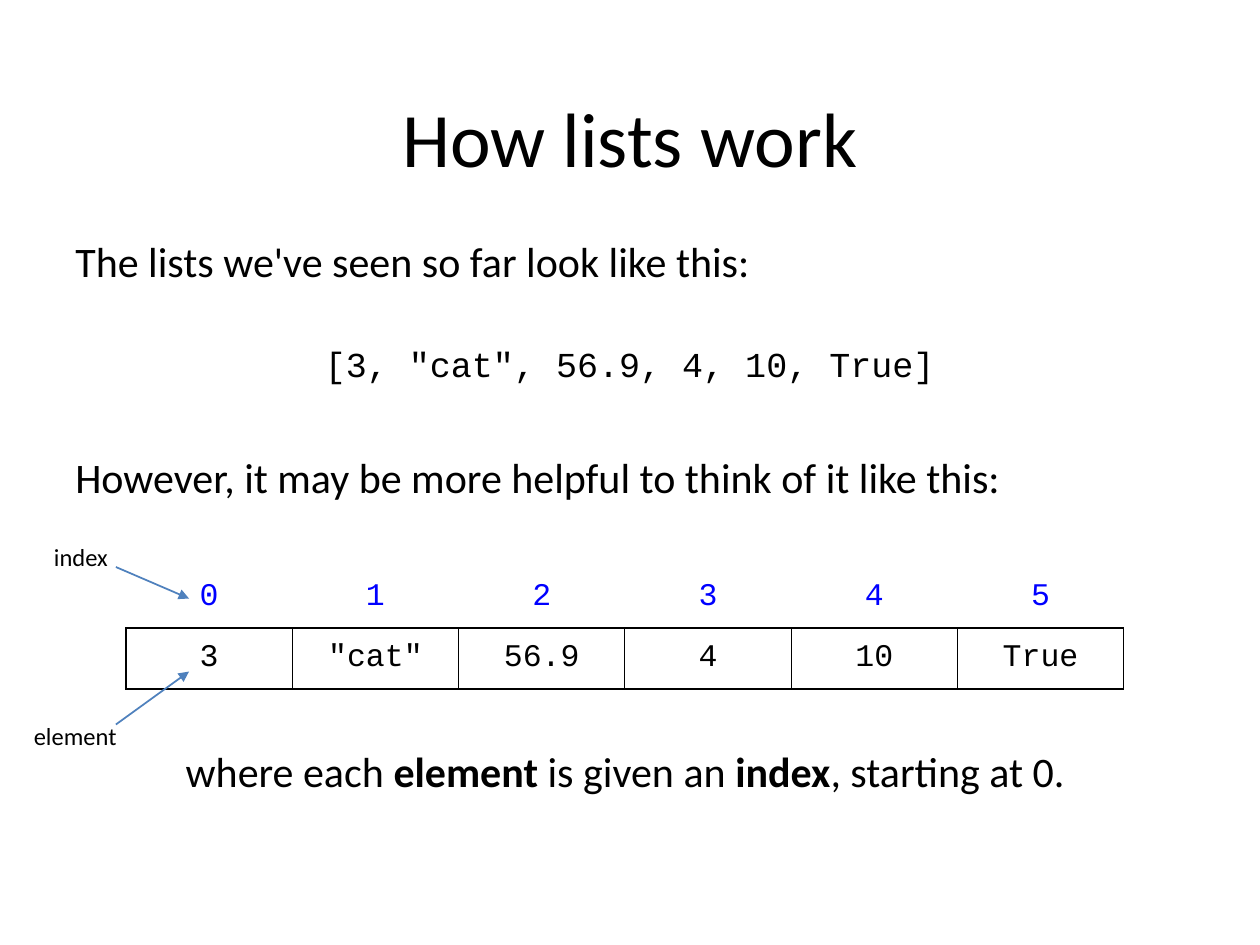
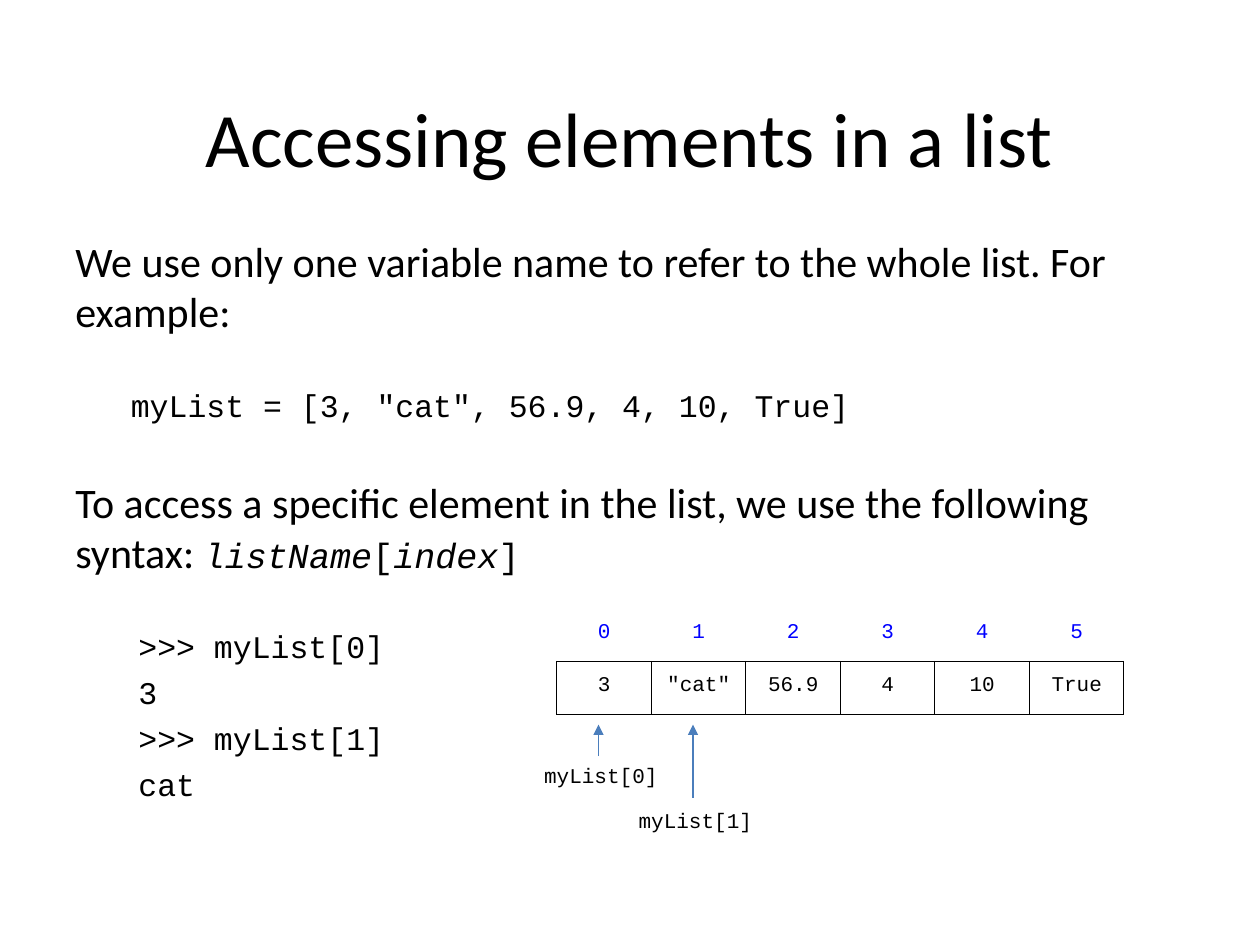
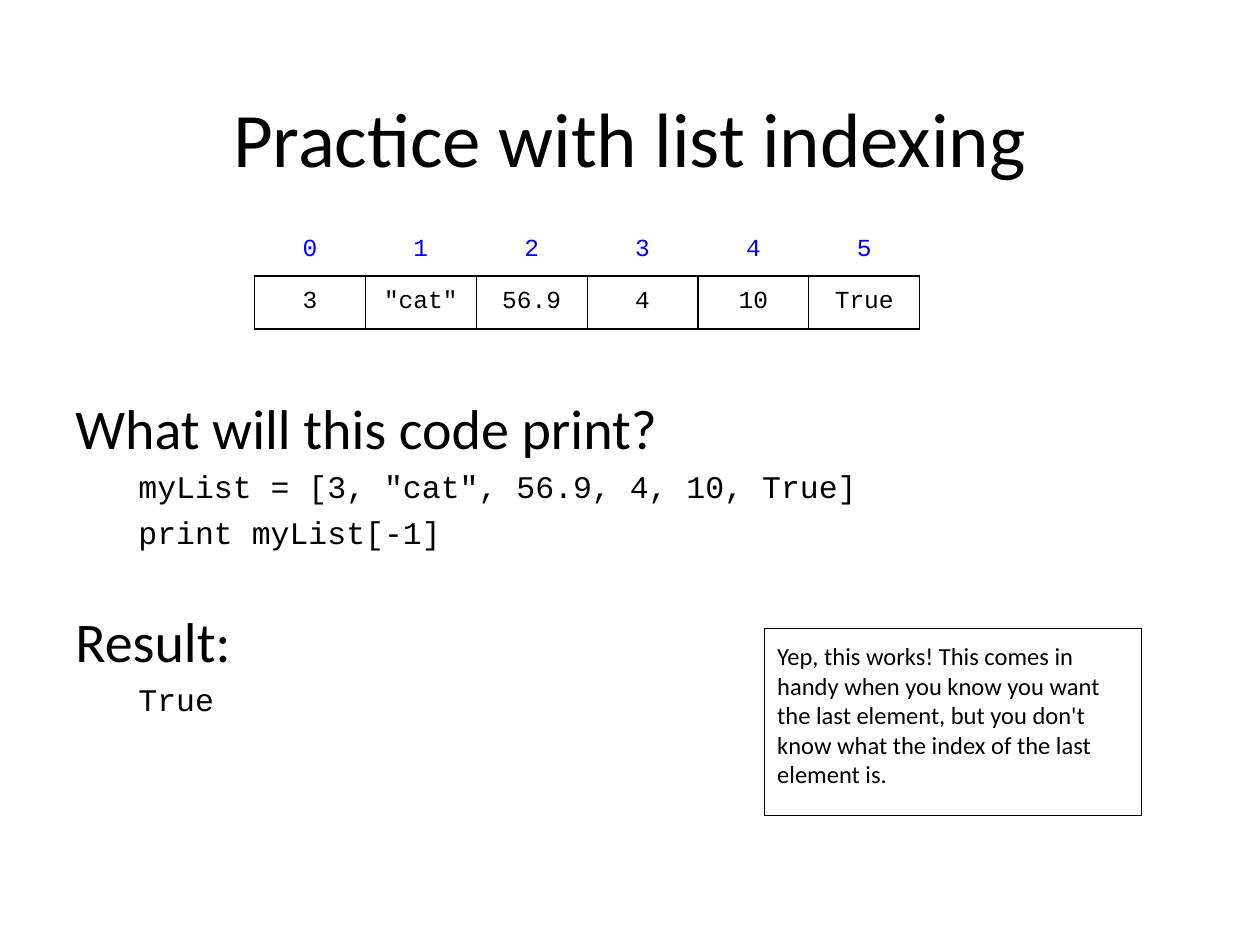
from dataclasses import dataclass
from typing import Any, Optional

from pptx import Presentation
from pptx import util as u
from pptx.dml.color import RGBColor
from pptx.enum import shapes, text
from pptx.oxml.ns import qn
from lxml import etree

# Shared look
COLORS = {"ink": "000000", "index": "0000FF", "pointer": "4F81BD", "access": "4B7EBC"}
SANS, MONO = "Calibri", "Courier New"
INSET = 0.1
ROW_BORDERS = ("lnL", "lnR", "lnT", "lnB")
VALUES = ("3", '"cat"', "56.9", "4", "10", "True")
LIST_CODE = '[3, "cat", 56.9, 4, 10, True]'


@dataclass
class Run:
    text: str
    font: str = SANS
    size: float = 24
    color: str = "ink"
    bold: bool = False
    italic: bool = False


@dataclass
class Line:
    """A paragraph: its runs, the space above in points and the indent in inches."""
    runs: list[Run]
    before: float = 0
    indent: float = 0
    centered: bool = False


@dataclass
class ListTable:
    left: float
    top: float
    column: float
    row: float
    size: float


@dataclass
class Arrow:
    start: tuple[float, float]
    tip: tuple[float, float]
    color: str


@dataclass
class Label:
    text: str
    box: tuple[float, float, float, float]
    font: str
    size: float


def rgb(name: str) -> RGBColor:
    return RGBColor.from_string(COLORS[name])


def inches(*lengths: float) -> list[u.Length]:
    return [u.Inches(length) for length in lengths]


# Text
def write(paragraph: Any, content: str, *, font: str = SANS, size: float = 24,
          color: str = "ink", bold: bool = False, italic: bool = False) -> None:
    run = paragraph.add_run()
    run.text = content
    run.font.name = font
    run.font.size = u.Pt(size)
    run.font.color.rgb = rgb(color)
    run.font.bold = bold
    run.font.italic = italic


def set_frame(frame: Any, inset: Optional[float] = INSET, wrap: bool = True) -> None:
    frame.word_wrap = wrap
    frame.auto_size = text.MSO_AUTO_SIZE.NONE
    if inset is not None:
        frame.margin_left = frame.margin_right = u.Inches(inset)
        frame.margin_top = frame.margin_bottom = u.Inches(inset)


def add_titled_slide(presentation: Any, title: str) -> Any:
    slide = presentation.slides.add_slide(presentation.slide_layouts[5])
    shape = slide.shapes.title
    shape.left, shape.top, shape.width, shape.height = inches(0.5, 0.3, 9, 1.25)
    set_frame(shape.text_frame)
    shape.text_frame.vertical_anchor = text.MSO_ANCHOR.BOTTOM
    paragraph = shape.text_frame.paragraphs[0]
    paragraph.alignment = text.PP_ALIGN.CENTER
    write(paragraph, title, size=44)
    return slide


def add_body(slide: Any, lines: list[Line], top: float = 1.77) -> None:
    shape = slide.shapes.add_textbox(*inches(0.5, top, 9, 6.7 - top))
    frame = shape.text_frame
    set_frame(frame)
    for number, line in enumerate(lines):
        paragraph = frame.add_paragraph() if number else frame.paragraphs[0]
        paragraph.space_before = u.Pt(line.before)
        paragraph.alignment = text.PP_ALIGN.CENTER if line.centered else text.PP_ALIGN.LEFT
        if line.indent:
            paragraph._p.get_or_add_pPr().set("marL", str(u.Inches(line.indent)))
        for run in line.runs:
            write(paragraph, run.text, font=run.font, size=run.size, color=run.color,
                  bold=run.bold, italic=run.italic)


def code(content: str, before: float, indent: float = 0.5) -> Line:
    return Line([Run(content, MONO, 18)], before, indent)


def add_label(slide: Any, label: Label) -> None:
    shape = slide.shapes.add_textbox(*inches(*label.box))
    set_frame(shape.text_frame, inset=None, wrap=False)
    write(shape.text_frame.paragraphs[0], label.text, font=label.font, size=label.size)


# Table of indexes above elements
def add_borders(cell: Any, sides: tuple[str, ...]) -> None:
    properties = cell._tc.get_or_add_tcPr()
    for position, side in enumerate(sides):
        border = etree.Element(qn(f"a:{side}"), w=str(u.Pt(0.75)))
        fill = etree.SubElement(border, qn("a:solidFill"))
        etree.SubElement(fill, qn("a:srgbClr"), val=COLORS["ink"])
        properties.insert(position, border)


def add_list_table(slide: Any, spec_: ListTable) -> None:
    count = len(VALUES)
    table = slide.shapes.add_table(2, count, *inches(
        spec_.left, spec_.top, spec_.column * count, spec_.row * 2)).table
    table.first_row = table.horz_banding = False
    for column in table.columns:
        column.width = u.Inches(spec_.column)
    contents = (
        ([str(index) for index in range(count)], "index", ("lnB",)),
        (VALUES, "ink", ROW_BORDERS),
    )
    for row, (words, color, sides) in enumerate(contents):
        table.rows[row].height = u.Inches(spec_.row)
        for column, word in enumerate(words):
            cell = table.cell(row, column)
            cell.fill.background()
            cell.margin_left = cell.margin_right = u.Inches(INSET)
            cell.margin_top = cell.margin_bottom = u.Inches(INSET)
            paragraph = cell.text_frame.paragraphs[0]
            paragraph.alignment = text.PP_ALIGN.CENTER
            write(paragraph, word, font=MONO, size=spec_.size, color=color)
            add_borders(cell, sides)


# Arrows and the note
def add_arrow(slide: Any, arrow: Arrow) -> None:
    connector = slide.shapes.add_connector(
        shapes.MSO_CONNECTOR.STRAIGHT, *inches(*arrow.start, *arrow.tip))
    connector.line.color.rgb = rgb(arrow.color)
    connector.line.width = u.Pt(1)
    etree.SubElement(connector.line._get_or_add_ln(), qn("a:tailEnd"), type="triangle")
    etree.SubElement(connector._element.spPr, qn("a:effectLst"))


def add_note(slide: Any, content: str) -> None:
    shape = slide.shapes.add_shape(
        shapes.MSO_SHAPE.RECTANGLE, *inches(6.07, 4.99, 2.99, 1.48))
    shape.shadow.inherit = False
    shape.fill.background()
    shape.line.color.rgb = rgb("ink")
    shape.line.width = u.Pt(0.75)
    set_frame(shape.text_frame)
    shape.text_frame.vertical_anchor = text.MSO_ANCHOR.TOP
    paragraph = shape.text_frame.paragraphs[0]
    paragraph.alignment = text.PP_ALIGN.LEFT
    write(paragraph, content, size=14)


# Slides
def build_how_lists_work(presentation: Any) -> None:
    slide = add_titled_slide(presentation, "How lists work")
    add_body(slide, [
        Line([Run("The lists we've seen so far look like this:")]),
        Line([Run(LIST_CODE, MONO, 20)], before=32, centered=True),
        Line([Run("However, it may be more helpful to think of it like this:")], before=38.5),
        Line([Run("where each "), Run("element", bold=True), Run(" is given an "),
              Run("index", bold=True), Run(", starting at 0. ")],
             before=139, centered=True),
    ])
    add_list_table(slide, ListTable(left=1, top=4.5, column=1.32, row=0.48, size=18))
    add_arrow(slide, Arrow((0.92, 4.5), (1.5, 4.75), "pointer"))
    add_label(slide, Label("index", (0.33, 4.25, 0.64, 0.34), SANS, 14))
    add_arrow(slide, Arrow((0.92, 5.75), (1.5, 5.33), "pointer"))
    add_label(slide, Label("element", (0.17, 5.67, 0.87, 0.34), SANS, 14))


def build_accessing_elements(presentation: Any) -> None:
    slide = add_titled_slide(presentation, "Accessing elements in a list")
    add_body(slide, [
        Line([Run("We use only one variable name to refer to the whole list. For example:")]),
        code(f"myList = {LIST_CODE}", before=28.5, indent=0.44),
        Line([Run("To access a specific element in the list, we use the following syntax: "),
              Run("listName", MONO, 20, italic=True), Run("[", MONO, 20),
              Run("index", MONO, 20, italic=True), Run("]", MONO, 20)], before=30),
        code(">>> myList[0]", before=28.5),
        *(code(content, before=4.7) for content in ("3", ">>> myList[1]", "cat")),
    ])
    add_list_table(slide, ListTable(left=4.42, top=4.83, column=0.75, row=0.42, size=12))
    for index, label_top in enumerate((6, 6.36)):
        shift = 0.75 * index
        add_arrow(slide, Arrow((4.75 + shift, 6 + 0.33 * index),
                               (4.75 + shift, 5.75), "access"))
        add_label(slide, Label(f"myList[{index}]", (4.22 + shift, label_top, 1.12, 0.3),
                               MONO, 12))


def build_practice(presentation: Any) -> None:
    slide = add_titled_slide(presentation, "Practice with list indexing")
    add_body(slide, [
        Line([Run("What will this code print?", size=32)]),
        code(f"myList = {LIST_CODE}", before=4),
        code("print myList[-1]", before=4.7),
        Line([Run("Result:", size=32)], before=31.5),
        code("True", before=4),
    ], top=3.02)
    add_list_table(slide, ListTable(left=2.02, top=1.77, column=0.88, row=0.42, size=14))
    add_note(slide, "Yep, this works! This comes in handy when you know you want the last "
                    "element, but you don't know what the index of the last element is.")


def main() -> None:
    presentation = Presentation()
    presentation.slide_width, presentation.slide_height = inches(10, 7.5)
    build_how_lists_work(presentation)
    build_accessing_elements(presentation)
    build_practice(presentation)
    presentation.save("out.pptx")


main()
